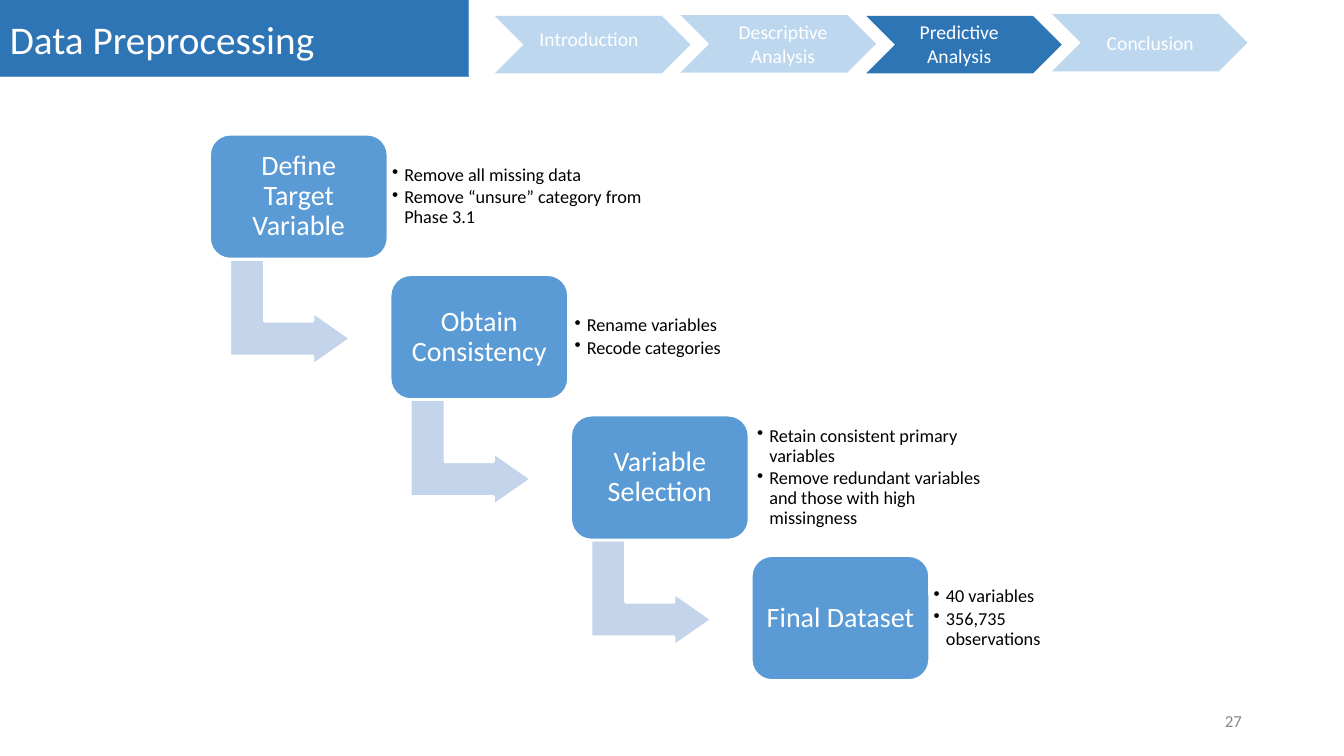
from lxml import etree
from pptx import Presentation
from pptx.dml.color import RGBColor
from pptx.enum.shapes import MSO_SHAPE
from pptx.enum.text import MSO_ANCHOR, PP_ALIGN
from pptx.oxml.ns import qn
from pptx.util import Cm, Pt

RECTANGLE, CHEVRON = MSO_SHAPE.RECTANGLE, MSO_SHAPE.CHEVRON
ROUNDED, BENT_ARROW = MSO_SHAPE.ROUNDED_RECTANGLE, MSO_SHAPE.BENT_UP_ARROW
TOP, MIDDLE = MSO_ANCHOR.TOP, MSO_ANCHOR.MIDDLE
LEFT, CENTER, RIGHT = PP_ALIGN.LEFT, PP_ALIGN.CENTER, PP_ALIGN.RIGHT

# Content: all lengths in centimetres
FONT = "Calibri"
COLORS = {
    "banner": "2E75B5", "banner_line": "5B9BD5", "active": "2E75B6",
    "inactive": "BDD7EE", "step": "5B9BD5", "arrow": "C4D5EB",
    "white": "FFFFFF", "black": "000000", "gray": "888888",
}
TITLE = "Data Preprocessing"
PAGE_NUMBER = "27"

# Section name, chevron top, fill, label box, label anchor
SECTIONS = [
    ("Introduction", 0.4, "inactive", (13.23, 0.56, 3.23, 0.86), TOP),
    ("Descriptive Analysis", 0.38, "inactive", (18.01, 0.38, 3.45, 1.45), TOP),
    ("Predictive Analysis", 0.4, "active", (22.56, 0.38, 3.23, 1.45), TOP),
    ("Conclusion", 0.35, "inactive", (27.24, 0.35, 3.5, 1.45), MIDDLE),
]
CHEVRON_LEFT, CHEVRON_PITCH = 12.47, 4.68
CHEVRON_WIDTH, CHEVRON_HEIGHT = 4.93, 1.45

# Step name, bullets, bullet box offset from the step, width, height, inset
STEPS = [
    ("Define Target Variable",
     ["Remove all missing data", "Remove “unsure” category from Phase 3.1"],
     4.42, 6.73, 2.54, 0.18),
    ("Obtain Consistency",
     ["Rename variables", "Recode categories"],
     4.47, 4.85, 2.54, 0.18),
    ("Variable Selection",
     ["Retain consistent primary variables",
      "Remove redundant variables and those with high missingness"],
     4.52, 6.45, 3.05, 0.18),
    ("Final Dataset",
     ["40 variables", "356,735 observations"],
     4.47, 4.32, 2.54, 0.13),
]
STEP_LEFT, STEP_TOP = 5.28, 3.38
STEP_WIDTH, STEP_HEIGHT = 4.5, 3.15
STEP_RIGHT, STEP_DOWN = 4.55, 3.54
ARROW_RIGHT, ARROW_DOWN = 0.7, 2.96
ARROW_WIDTH, ARROW_HEIGHT = 2.67, 3.05
ARROW_ADJUSTMENTS = (0.328, 0.25, 0.358)
BULLET_INDENT = 0.31

presentation = Presentation()
presentation.slide_width, presentation.slide_height = Cm(33.87), Cm(19.05)
slide = presentation.slides.add_slide(presentation.slide_layouts[6])


def color(name):
    return RGBColor.from_string(COLORS[name])


def add_shape(kind, box, fill, line=None, line_width=0):
    shape = slide.shapes.add_shape(kind, *map(Cm, box))
    shape.shadow.inherit = False
    shape.fill.solid()
    shape.fill.fore_color.rgb = color(fill)
    if line:
        shape.line.color.rgb = color(line)
        shape.line.width = Pt(line_width)
    else:
        shape.line.fill.background()
    return shape


def write(shape, lines, size, font_color, alignment=CENTER, anchor=MIDDLE,
          insets=(0.25, 0.13), line_spacing=1.0):
    frame = shape.text_frame
    frame.word_wrap = True
    frame.vertical_anchor = anchor
    frame.margin_left = frame.margin_right = Cm(insets[0])
    frame.margin_top = frame.margin_bottom = Cm(insets[1])
    frame.text = "\n".join(lines)
    for paragraph in frame.paragraphs:
        paragraph.alignment = alignment
        paragraph.line_spacing = line_spacing
        paragraph.font.name = FONT
        paragraph.font.size = Pt(size)
        paragraph.font.color.rgb = color(font_color)
    return frame.paragraphs


def add_text(box, *arguments, **options):
    return write(slide.shapes.add_textbox(*map(Cm, box)), *arguments, **options)


def add_bullet(paragraph):
    paragraph.space_after = Pt(2)
    properties = paragraph._p.get_or_add_pPr()
    properties.set("marL", str(Cm(BULLET_INDENT)))
    properties.set("indent", str(-Cm(BULLET_INDENT)))
    etree.SubElement(properties, qn("a:buChar")).set("char", "•")
    # The bullet must come before the default run properties
    properties.append(properties.find(qn("a:defRPr")))


# Title banner
banner = add_shape(RECTANGLE, (0, 0, 11.81, 1.93), "banner", "banner_line", 0.75)
add_text((0, 0, 11.81, 1.98), [TITLE], 28, "white", LEFT)

# Section chevrons
for index, (name, top, fill, label_box, anchor) in enumerate(SECTIONS):
    left = CHEVRON_LEFT + index * CHEVRON_PITCH
    add_shape(CHEVRON, (left, top, CHEVRON_WIDTH, CHEVRON_HEIGHT), fill)
    add_text(label_box, [name], 14, "white", anchor=anchor)

# Page number
add_text((23.93, 17.65, 7.62, 1.02), [PAGE_NUMBER], 12, "gray", RIGHT)

# Step-down process
for index, (name, bullets, offset, width, height, inset) in enumerate(STEPS):
    left = STEP_LEFT + index * STEP_RIGHT
    top = STEP_TOP + index * STEP_DOWN
    if index < len(STEPS) - 1:
        arrow = add_shape(
            BENT_ARROW,
            (left + ARROW_RIGHT, top + ARROW_DOWN, ARROW_WIDTH, ARROW_HEIGHT),
            "arrow", "white", 2)
        arrow.rotation = 90
        for position, value in enumerate(ARROW_ADJUSTMENTS):
            arrow.adjustments[position] = value
    step = add_shape(ROUNDED, (left, top, STEP_WIDTH, STEP_HEIGHT),
                     "step", "white", 2)
    write(step, [name], 20, "white", insets=(0.2, 0.2), line_spacing=0.9)

    bullet_top = top + (STEP_HEIGHT - height) / 2
    paragraphs = add_text((left + offset, bullet_top, width, height), bullets,
                          13, "black", LEFT, insets=(inset, inset),
                          line_spacing=0.9)
    for paragraph in paragraphs:
        add_bullet(paragraph)

presentation.save("out.pptx")
